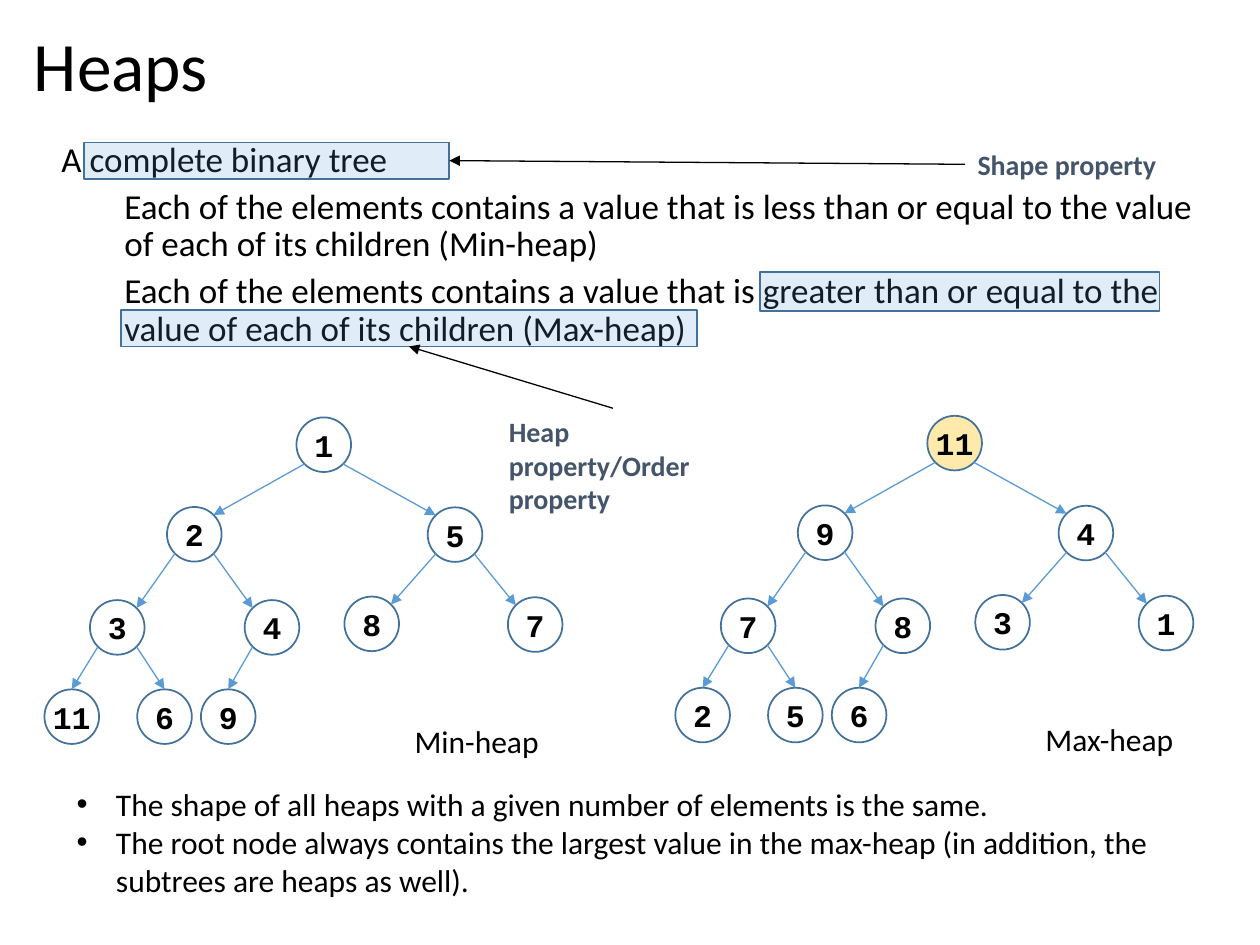
import math

import pptx
import pptx.dml.color
import pptx.enum.shapes
import pptx.enum.text
import pptx.oxml.ns
import pptx.util
from lxml import etree

Pt = pptx.util.Pt
RGB = pptx.dml.color.RGBColor
Kind = pptx.enum.shapes.MSO_SHAPE
Wire = pptx.enum.shapes.MSO_CONNECTOR.STRAIGHT
Align = pptx.enum.text.PP_ALIGN
Anchor = pptx.enum.text.MSO_ANCHOR
qn = pptx.oxml.ns.qn

BLACK = RGB(0x00, 0x00, 0x00)
SLATE = RGB(0x44, 0x54, 0x6A)
EDGE = RGB(0x42, 0x71, 0x9B)
BLUE = RGB(0x5B, 0x9B, 0xD5)
GOLD = RGB(0xFF, 0xC0, 0x00)

BODY = {"name": "Calibri", "size": Pt(20)}
NOTE = {"name": "Calibri", "size": Pt(18)}
LABEL = {"name": "Calibri", "size": Pt(16), "bold": True}
KEY = {"name": "Courier New", "size": Pt(18), "bold": True}
HEAD = {"name": "Calibri", "size": Pt(39.6)}

SIZE = 31.2  # node diameter
# Node corners in level order, relative to the tree's box
SPOTS = [(144, 0), (70, 51.2), (219, 51.4), (26, 104.4), (114.4, 104.4),
         (171.4, 102.4), (264.8, 102.8), (0, 155.4), (53, 155.4), (89.4, 155.4)]


def put(obj, vals):
    for name, val in vals.items():
        setattr(obj, name, val)


def style(para, font, color=BLACK, **vals):
    put(para, vals)
    put(para.font, font)
    para.font.color.rgb = color


def add_text(shapes, box, lines, font, color=BLACK):
    area = shapes.add_textbox(*map(Pt, box))
    frame = area.text_frame
    frame.word_wrap = True
    frame.text = "\n".join(lines)
    for para in frame.paragraphs:
        style(para, font, color)
    return area


def add_shape(shapes, kind, box, fill=None, alpha=100):
    shape = shapes.add_shape(kind, *map(Pt, box))
    shape.shadow.inherit = False
    put(shape.line, {"width": Pt(1)})
    shape.line.color.rgb = EDGE
    if fill is None:
        shape.fill.background()
    else:
        shape.fill.solid()
        shape.fill.fore_color.rgb = fill
        clr = shape.fill._xPr.find(".//" + qn("a:srgbClr"))
        etree.SubElement(clr, qn("a:alpha"), val=str(alpha * 1000))
    return shape


def add_arrow(shapes, start, end, color):
    arrow = shapes.add_connector(Wire, *map(Pt, start + end))
    arrow.line.width = Pt(0.75)
    arrow.line.color.rgb = color
    etree.SubElement(arrow.line._get_or_add_ln(), qn("a:tailEnd"), type="triangle")
    etree.SubElement(arrow._element.spPr, qn("a:effectLst"))
    return arrow


def add_title(slide, box):
    title = slide.shapes.title
    put(title, dict(zip(("left", "top", "width", "height"), map(Pt, box))))
    title.text_frame.text = "Heaps"
    title.text_frame.vertical_anchor = Anchor.MIDDLE
    style(title.text_frame.paragraphs[0], HEAD, alignment=Align.LEFT, line_spacing=0.9)


def add_body(slide, box):
    rule = "Each of the elements contains a value that is {} than or equal to the value of each of its children ({}-heap)"
    lines = ["A complete binary tree", rule.format("less", "Min"), rule.format("greater", "Max")]
    paras = add_text(slide.shapes, box, lines, BODY).text_frame.paragraphs
    for para in paras:
        para.line_spacing = 0.9
    for para in paras[1:]:
        put(para, {"level": 1, "space_before": Pt(5)})
        para._p.get_or_add_pPr().set("marL", str(Pt(36)))


def rim(spot, angle):
    """Point on a node's rim; the angle runs clockwise from the right."""
    turn = math.radians(angle)
    return tuple(at + SIZE / 2 * (1 + part)
                 for at, part in zip(spot, (math.cos(turn), math.sin(turn))))


def add_tree(slide, box, keys, name, accent=None):
    left, top = box
    group = slide.shapes.add_group_shape()
    spots = [(left + x, top + y) for x, y in SPOTS]

    # Nodes
    for num, (spot, key) in enumerate(zip(spots, keys)):
        fill = accent if num == 0 else None
        node = add_shape(group.shapes, Kind.OVAL, spot + (SIZE, SIZE), fill, 33)
        frame = node.text_frame
        put(frame, {"margin_left": 0, "margin_right": 0, "margin_top": 0,
                    "margin_bottom": 0, "word_wrap": False,
                    "vertical_anchor": Anchor.MIDDLE})
        frame.text = str(key)
        style(frame.paragraphs[0], KEY, alignment=Align.CENTER)

    # Edges: the parent of node n is (n - 1) // 2, odd nodes hang left
    for num in range(1, len(spots)):
        is_left = num % 2 == 1
        exit_at = 135 if is_left else 45
        enter_at = 270 if num > 6 else exit_at + 180
        if num <= 6:
            enter_at = 315 if is_left else 225
        add_arrow(group.shapes, rim(spots[(num - 1) // 2], exit_at),
                  rim(spots[num], enter_at), BLUE)

    # Caption
    add_text(group.shapes, (left + 204.4, top + 170.6, 105, 28.8), [name], NOTE)


def add_marks(slide):
    # Boxes over the marked words
    shape_box, _, heap_box = [
        add_shape(slide.shapes, Kind.RECTANGLE, box, BLUE, 19)
        for box in ((48.2, 81.4, 208.6, 20.8), (434.2, 155.5, 228.4, 22.3),
                    (69.2, 177.1, 329, 20.9))]

    # Labels and their arrows
    for text, box, mark, sides in (
            ("Shape property", (551.5, 80.6, 154, 26.6), shape_box, (1, 3)),
            ("Heap property/Order property", (283.7, 233.3, 133.2, 65.5), heap_box, (0, 2))):
        label = add_text(slide.shapes, box, [text], LABEL, SLATE)
        arrow = add_arrow(slide.shapes, (0, 0), (0, 0), BLACK)
        arrow.begin_connect(label, sides[0])
        arrow.end_connect(mark, sides[1])


def add_facts(slide, box):
    area = add_text(slide.shapes, box, [
        "The shape of all heaps with a given number of elements is the same.",
        "The root node always contains the largest value in the max-heap "
        "(in addition, the subtrees are heaps as well)."], NOTE)
    for para in area.text_frame.paragraphs:
        props = para._p.get_or_add_pPr()
        put_in = {"marL": str(Pt(22.5)), "indent": str(-Pt(22.5))}
        for name, val in put_in.items():
            props.set(name, val)
        bullet = etree.Element(qn("a:buChar"), char="•")
        font = etree.Element(qn("a:buFont"), typeface="Arial")
        props.insert(0, font)
        props.insert(1, bullet)


def main():
    deck = pptx.Presentation()
    put(deck, {"slide_width": Pt(720), "slide_height": Pt(540)})
    slide = deck.slides.add_slide(deck.slide_layouts[5])
    add_title(slide, (12.2, 13, 692.6, 53.3))
    add_body(slide, (28, 77.8, 676.8, 139.7))
    add_tree(slide, (385.9, 237.6), (11, 9, 4, 7, 8, 3, 1, 2, 5, 6), "Max-heap", GOLD)
    add_tree(slide, (25.4, 238.5), (1, 2, 5, 3, 4, 8, 7, 11, 6, 9), "Min-heap")
    add_marks(slide)
    add_facts(slide, (36.7, 445, 645, 72.7))
    deck.save("out.pptx")


if __name__ == "__main__":
    main()
